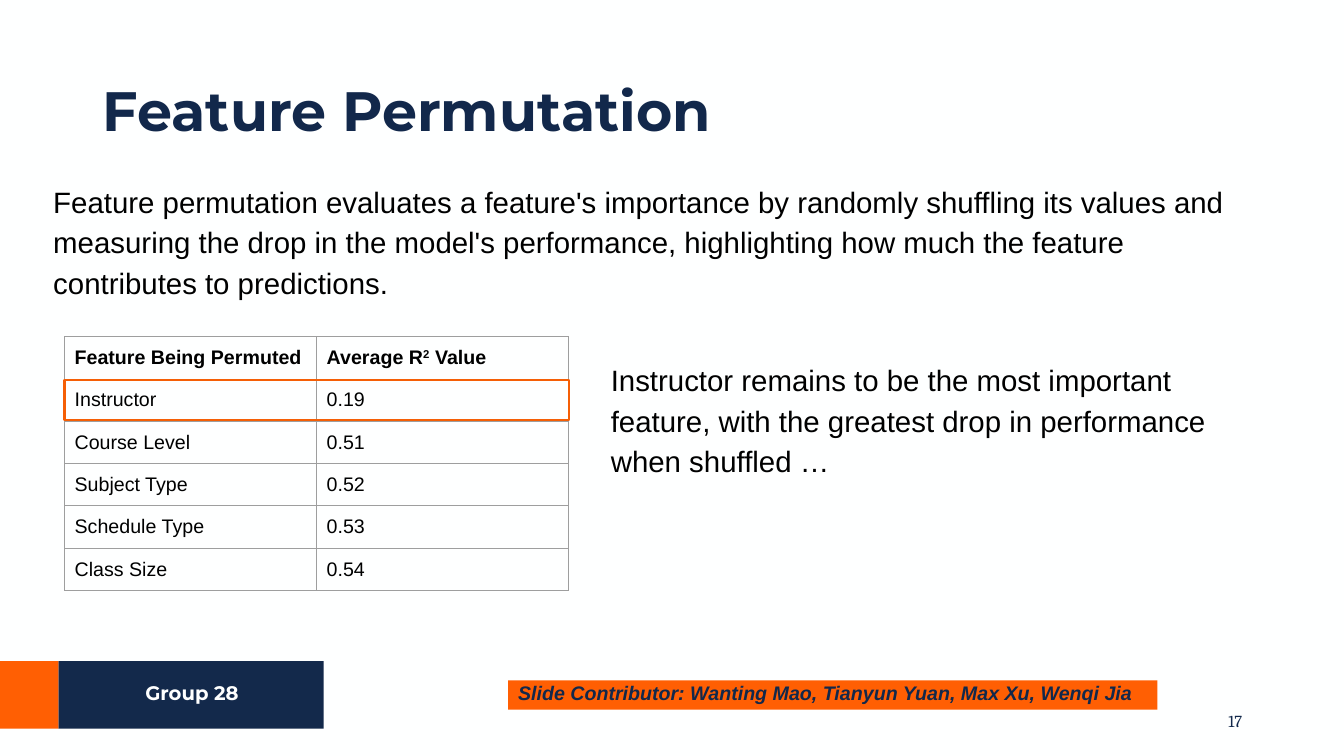
from lxml.etree import SubElement
from pptx import Presentation
from pptx.dml.color import RGBColor
from pptx.enum.shapes import MSO_SHAPE as Shape
from pptx.enum.text import MSO_ANCHOR as Anchor, MSO_AUTO_SIZE as AutoSize, PP_ALIGN as Align
from pptx.oxml.ns import qn
from pptx.util import Pt

EMU_PER_PX = 9144
NAVY = RGBColor(0x13, 0x29, 0x4B)
INK = RGBColor(0x12, 0x28, 0x4B)
ORANGE = RGBColor(0xFF, 0x5F, 0x03)
HIGHLIGHT = RGBColor(0xF5, 0x5F, 0x06)
PAPER = RGBColor(0xFE, 0xFF, 0xFF)
BLACK = RGBColor(0, 0, 0)
GRID = RGBColor(0x9E, 0x9E, 0x9E)

TITLE = "Feature Permutation"
DEFINITION = (
    "Feature permutation evaluates a feature's importance by randomly shuffling its values and "
    "measuring the drop in the model's performance, highlighting how much the feature "
    "contributes to predictions."
)
FINDING = (
    "Instructor remains to be the most important feature, with the greatest drop in "
    "performance when shuffled …"
)
GROUP = "Group 28"
CONTRIBUTORS = "Slide Contributor: Wanting Mao, Tianyun Yuan, Max Xu, Wenqi Jia"
PAGE = "17"
HEADER = ("Feature Being Permuted", ("Average R", "2", " Value"))
SCORES = [
    ("Instructor", "0.19"),
    ("Course Level", "0.51"),
    ("Subject Type", "0.52"),
    ("Schedule Type", "0.53"),
    ("Class Size", "0.54"),
]

TABLE_LEFT, TABLE_TOP = 64, 334
COLUMN_WIDTH, ROW_HEIGHT = 250, 42

HEADING = dict(name="Montserrat", size=Pt(39.6), bold=True, color=INK)
BODY = dict(name="Arial", size=Pt(21), color=BLACK)
BADGE = dict(name="Montserrat", size=Pt(14), bold=True, color=PAPER)
CREDIT = dict(name="Arial", size=Pt(14), bold=True, italic=True, color=INK)
NUMBER = dict(name="Cambria", size=Pt(12), color=INK)
CELL = dict(name="Arial", size=Pt(14), bold=False, color=BLACK)
HEADER_CELL = dict(CELL, bold=True)


def px(*lengths):
    return [length * EMU_PER_PX for length in lengths]


def style_run(run, style):
    for key, value in style.items():
        if key == "color":
            run.font.color.rgb = value
        else:
            setattr(run.font, key, value)


def write(frame, text, style, inset=5, anchor=Anchor.TOP, align=Align.LEFT, spacing=1.0):
    side, edge = px(10, inset)
    layout = dict(word_wrap=True, auto_size=AutoSize.NONE, vertical_anchor=anchor,
                  margin_left=side, margin_right=side, margin_top=edge, margin_bottom=edge)
    for key, value in layout.items():
        setattr(frame, key, value)
    paragraph = frame.paragraphs[0]
    paragraph.alignment, paragraph.line_spacing = align, spacing
    run = paragraph.add_run()
    run.text = text
    style_run(run, style)


def add_box(slide, box, fill=None, line=None):
    shape = slide.shapes.add_shape(Shape.RECTANGLE, *px(*box))
    shape.shadow.inherit = False
    if fill is None:
        shape.fill.background()
    else:
        shape.fill.solid()
        shape.fill.fore_color.rgb = fill
    if line is None:
        shape.line.fill.background()
    else:
        shape.line.color.rgb, shape.line.width = line, Pt(1.5)
    return shape


def add_text(slide, box, text, style, **layout):
    write(slide.shapes.add_textbox(*px(*box)).text_frame, text, style, **layout)


def fill_cell(cell, content, style):
    margin, = px(10)
    for side in ("left", "right", "top", "bottom"):
        setattr(cell, f"margin_{side}", margin)
    parts = (content,) if isinstance(content, str) else content
    for index, part in enumerate(parts):
        run = cell.text_frame.paragraphs[0].add_run()
        run.text = part
        style_run(run, style)
        if index == 1:
            run.font._element.set("baseline", "30000")
    properties = cell._tc.get_or_add_tcPr()
    for border in ("lnL", "lnR", "lnT", "lnB"):
        line = SubElement(properties, qn(f"a:{border}"), w=str(Pt(0.75)))
        SubElement(SubElement(line, qn("a:solidFill")), qn("a:srgbClr"), val=str(GRID))
    cell.fill.background()


def add_scores(slide):
    rows = [HEADER, *SCORES]
    width, height = COLUMN_WIDTH * len(HEADER), ROW_HEIGHT * len(rows)
    scores = slide.shapes.add_table(
        len(rows), len(HEADER), *px(TABLE_LEFT, TABLE_TOP, width, height)).table
    scores.first_row = scores.horz_banding = False
    for r, row in enumerate(rows):
        for c, content in enumerate(row):
            fill_cell(scores.cell(r, c), content, CELL if r else HEADER_CELL)
    add_box(slide, (TABLE_LEFT, TABLE_TOP + ROW_HEIGHT + 1, width, ROW_HEIGHT - 2),
            line=HIGHLIGHT)


def main():
    deck = Presentation()
    deck.slide_width, deck.slide_height = px(1333, 750)
    slide = deck.slides.add_slide(deck.slide_layouts[5])
    slide.background.fill.solid()
    slide.background.fill.fore_color.rgb = PAPER

    add_box(slide, (58, 656, 263, 67), fill=NAVY)
    add_box(slide, (-6, 656, 64, 67), fill=ORANGE)

    title = slide.shapes.title
    title.left, title.top, title.width, title.height = px(92, 80, 1150, 66)
    write(title.text_frame, TITLE, HEADING, anchor=Anchor.MIDDLE, spacing=0.9)

    add_text(slide, (92, 675, 197, 29), GROUP, BADGE, align=Align.CENTER, spacing=0.8)
    add_text(slide, (942, 695, 300, 40), PAGE, NUMBER, anchor=Anchor.MIDDLE, align=Align.RIGHT)
    add_text(slide, (43, 167, 1233, 177), DEFINITION, BODY, inset=10, spacing=1.15)
    credit = add_box(slide, (504, 675, 644, 29), fill=ORANGE)
    write(credit.text_frame, CONTRIBUTORS, CREDIT, spacing=0.8)
    add_scores(slide)
    add_text(slide, (596, 344, 663, 177), FINDING, BODY, inset=10, spacing=1.15)

    deck.save("out.pptx")


if __name__ == "__main__":
    main()
